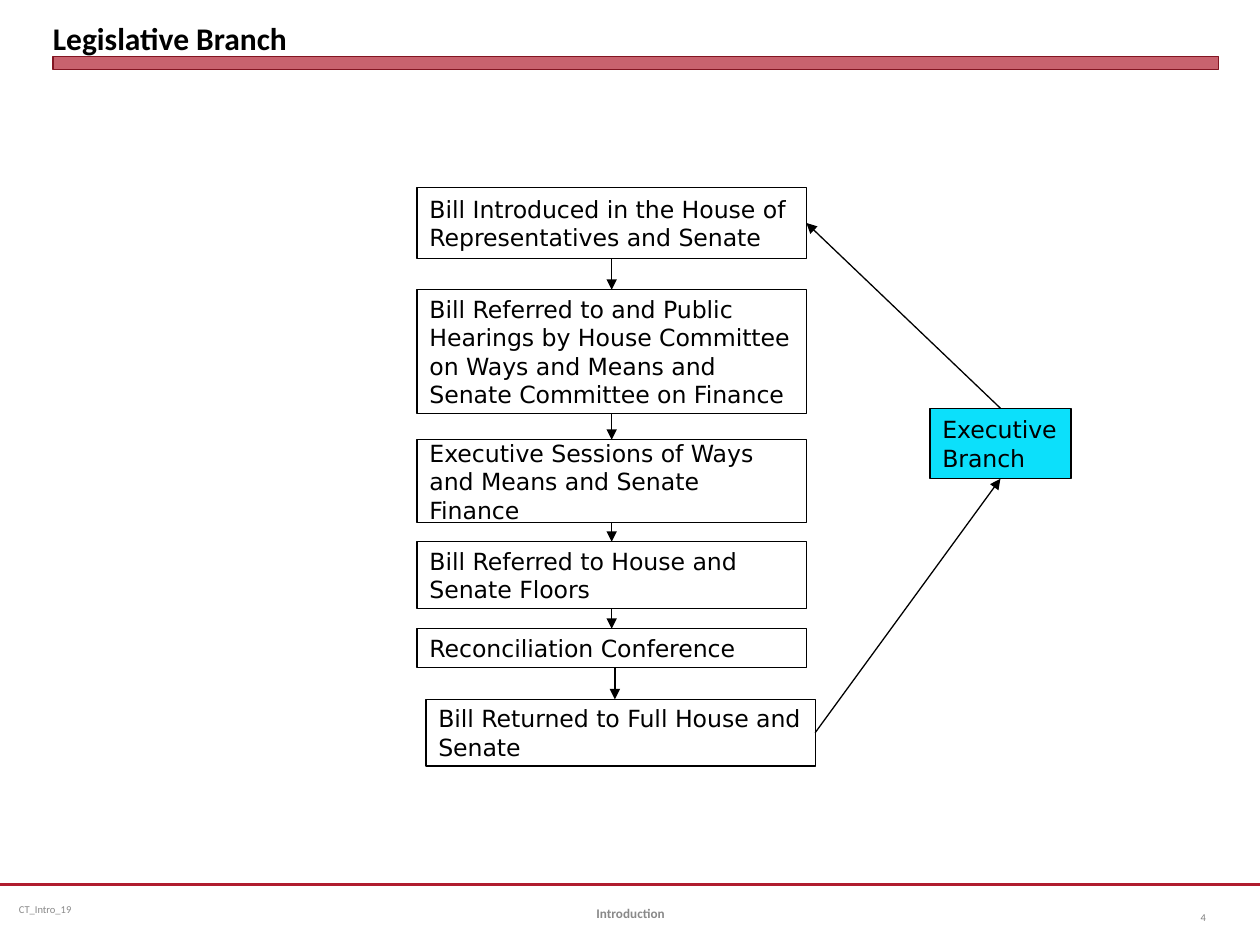
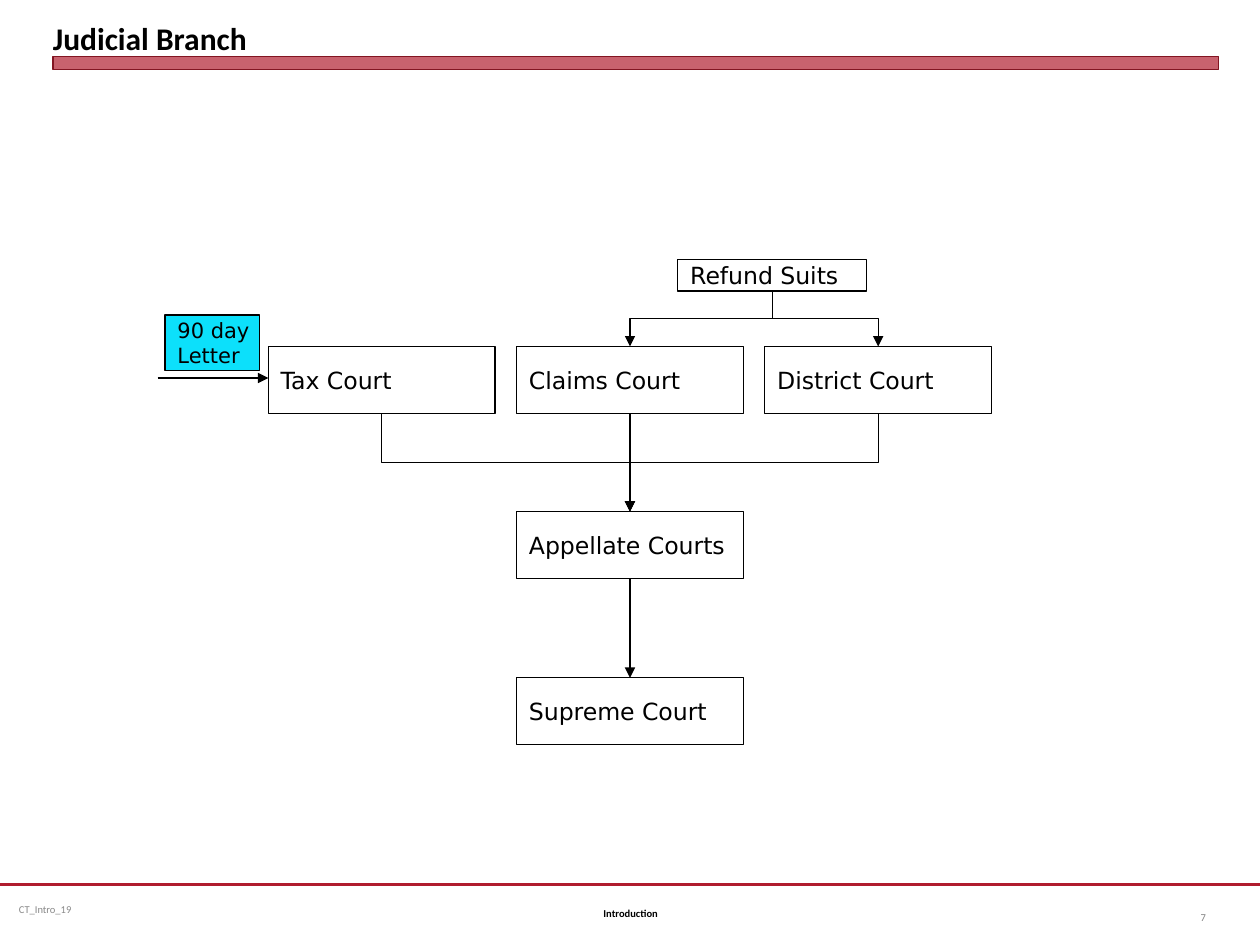
"""Build two slides on the branches that make and judge tax law."""
from lxml.etree import SubElement as Sub
from pptx import Presentation
from pptx.dml.color import RGBColor as Rgb
from pptx.enum.shapes import MSO_CONNECTOR as Conn, MSO_SHAPE as Form
from pptx.enum.text import MSO_ANCHOR as Anchor, PP_ALIGN as Align
from pptx.oxml.ns import qn
from pptx.util import Inches, Pt

HUES = {"ink": "000000", "red": "B01C2E", "edge": "821522",
        "cyan": "0CE0FB", "gray": "898989", "page": "808080"}
TOP, LEFT, BASE, RIGHT = range(4)


class Deck:
    """Hold the style and the current slide."""

    def __init__(self):
        self.prs = Presentation()
        self.prs.slide_width, self.prs.slide_height = Inches(10), Inches(7.5)
        self.slide = None

    def hue(self, name):
        return Rgb.from_string(HUES[name])

    def text(self, shape, lines, size, font, hue="ink", bold=False,
             align=Align.LEFT, anchor=Anchor.MIDDLE, wrap=True, pad=None):
        frame = shape.text_frame
        frame.word_wrap, frame.vertical_anchor = wrap, anchor
        if pad is not None:
            frame.margin_left = frame.margin_right = Inches(pad[0])
            frame.margin_top = frame.margin_bottom = Inches(pad[1])
        for i, line in enumerate(lines.split("\n")):
            para = frame.add_paragraph() if i else frame.paragraphs[0]
            para.alignment = align
            run = para.add_run()
            run.text = line
            run.font.size, run.font.name = Pt(size), font
            run.font.bold = bold
            run.font.color.rgb = self.hue(hue)

    def label(self, words, x, y, w, size, **style):
        area = self.slide.shapes.add_textbox(
            Inches(x), Inches(y), Inches(w), Inches(0.4))
        self.text(area, words, size, "Calibri", **style)

    def rect(self, x, y, w, h, fill=None, edge="ink", width=0.75):
        shape = self.slide.shapes.add_shape(
            Form.RECTANGLE, Inches(x), Inches(y), Inches(w), Inches(h))
        shape.shadow.inherit = False
        if fill:
            shape.fill.solid()
            shape.fill.fore_color.rgb = self.hue(fill)
        else:
            shape.fill.background()
        shape.line.color.rgb = self.hue(edge)
        shape.line.width = Pt(width)
        return shape

    def box(self, words, x, y, w, h, fill=None, size=13.5, wrap=True):
        shape = self.rect(x, y, w, h, fill)
        self.text(shape, words, size, "DejaVu Sans", wrap=wrap)
        return shape

    def line(self, x1, y1, x2, y2, kind=Conn.STRAIGHT, hue="ink",
             width=0.75, head=True):
        wire = self.slide.shapes.add_connector(kind, x1, y1, x2, y2)
        wire.line.color.rgb = self.hue(hue)
        wire.line.width = Pt(width)
        props = wire._element.spPr
        if head:
            Sub(props.find(qn("a:ln")), qn("a:tailEnd"), type="triangle")
        Sub(props, qn("a:effectLst"))
        return wire

    def link(self, start, end, out=BASE, into=TOP):
        wire = self.line(0, 0, 0, 0)
        wire.begin_connect(start, out)
        wire.end_connect(end, into)

    def fork(self, start, end):
        x1, y1 = start.left + start.width // 2, start.top + start.height
        x2, y2 = end.left + end.width // 2, end.top
        run, drop = abs(x2 - x1), y2 - y1
        left, top = (x1 + x2 - drop) // 2, (y1 + y2 - run) // 2
        ends = [left, left + drop]
        if x2 > x1:
            ends.reverse()
        wire = self.line(ends[0], top, ends[1], top + run, Conn.ELBOW)
        turn = 270 if x2 > x1 else 90
        wire._element.spPr.find(qn("a:xfrm")).set("rot", str(turn * 60000))

    def start(self, title, page, size, hue):
        self.slide = self.prs.slides.add_slide(self.prs.slide_layouts[6])
        rule = Inches(7.02)
        self.line(0, rule, Inches(10), rule, hue="red", width=1.25, head=False)
        self.label("CT_Intro_19", 0.08, 7.02, 2.58, 6, hue="gray",
                   pad=(0.07, 0.04))
        band = self.rect(0.42, 0.45, 9.25, 0.1, "red", "edge", 0)
        tint = band._element.spPr.find(qn("a:solidFill"))[0]
        Sub(tint, qn("a:alpha"), val="69000")
        self.label(title, 0.42, 0.05, 9.25, 18, bold=True,
                   anchor=Anchor.BOTTOM, pad=(0, 0))
        self.label("Introduction", 3.42, 7.05, 3.17, size, hue=hue,
                   bold=True, align=Align.CENTER)
        self.label(page, 9.17, 7.08, 0.5, 6, hue="page", align=Align.RIGHT)


def make_law(deck):
    deck.start("Legislative Branch", "4", 7.5, "gray")
    steps = [
        ("Bill Introduced in the House of Representatives and Senate",
         1.49, 0.56),
        ("Bill Referred to and Public Hearings by House Committee on Ways "
         "and Means and Senate Committee on Finance", 2.3, 0.98),
        ("Executive Sessions of Ways and Means and Senate Finance",
         3.49, 0.66),
        ("Bill Referred to House and Senate Floors", 4.3, 0.53),
        ("Reconciliation Conference", 4.99, 0.31)]
    chain = [deck.box(words, 3.31, y, 3.09, h) for words, y, h in steps]
    for step, after in zip(chain, chain[1:]):
        deck.link(step, after)
    last = deck.box("Bill Returned to Full House and Senate",
                    3.38, 5.55, 3.09, 0.53)
    deck.line(Inches(4.88), Inches(5.3), Inches(4.88), last.top)
    chief = deck.box("Executive Branch", 7.38, 3.24, 1.12, 0.56, "cyan")
    deck.link(last, chief, RIGHT, BASE)
    deck.link(chief, chain[0], TOP, RIGHT)


def make_courts(deck):
    deck.start("Judicial Branch", "7", 6, "ink")
    names = ["Tax Court", "Claims Court", "District Court"]
    tax, claims, local = [deck.box(name, 4.1 + 1.97 * i, 2.75, 1.8, 0.53)
                          for i, name in enumerate(names, -1)]
    appeal, top = [deck.box(name, 4.1, y, 1.8, 0.53) for name, y in
                   [("Appellate Courts", 4.06), ("Supreme Court", 5.38)]]
    suits = deck.box("Refund Suits", 5.38, 2.06, 1.5, 0.25, wrap=False)
    for start, end in [(suits, claims), (suits, local),
                       (tax, appeal), (local, appeal)]:
        deck.fork(start, end)
    deck.link(claims, appeal)
    deck.link(appeal, top)
    deck.line(Inches(1.25), Inches(3), tax.left, Inches(3))
    deck.box("90 day\nLetter", 1.31, 2.5, 0.75, 0.44, "cyan", 12, False)


def main():
    deck = Deck()
    make_law(deck)
    make_courts(deck)
    deck.prs.save("out.pptx")


if __name__ == "__main__":
    main()
